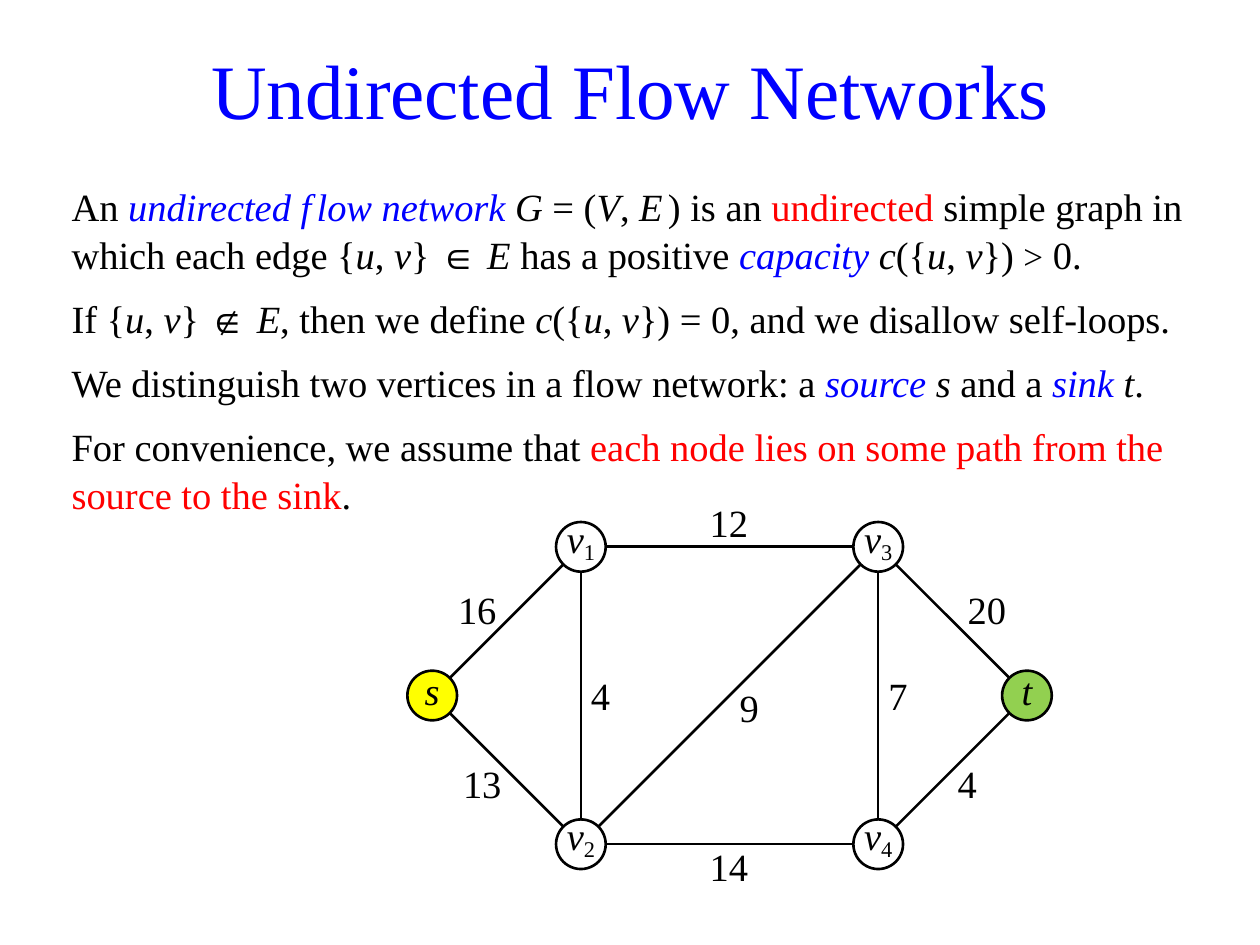
import math
from dataclasses import dataclass, field
from typing import NamedTuple

import lxml.etree
import pptx
import pptx.dml.color
import pptx.enum.shapes
import pptx.enum.text
import pptx.oxml.ns
import pptx.util

Inches = pptx.util.Inches
Pt = pptx.util.Pt
Align = pptx.enum.text.PP_ALIGN
Anchor = pptx.enum.text.MSO_ANCHOR


@dataclass(frozen=True)
class Theme:
    font: str = "Times New Roman"
    title_size: float = 44
    text_size: float = 22
    sign_size: float = 20
    line_width: float = 1.5
    black: str = "000000"
    white: str = "FFFFFF"
    blue: str = "0000FF"
    red: str = "FF0000"
    yellow: str = "FFFF00"
    green: str = "92D050"


THEME = Theme()


class Span(NamedTuple):
    text: str
    color: str = THEME.black
    italic: bool = False
    size: float = THEME.text_size
    extras: dict[str, str] = {}


class Vertex(NamedTuple):
    x: float
    y: float
    name: str
    index: str = ""
    fill: str = THEME.white
    anchor: Anchor = Anchor.BOTTOM
    bottom_inset: float = 0


@dataclass(frozen=True)
class Capacity:
    value: str
    left: float
    top: float
    size: float
    align: Align = Align.LEFT
    insets: dict[str, float] = field(default_factory=dict)


def math_span(text: str, **extras: str) -> Span:
    return Span(text, italic=True, extras=extras)


def term(text: str, **extras: str) -> Span:
    return Span(text, THEME.blue, True, extras=extras)


def rgb(color: str) -> pptx.dml.color.RGBColor:
    return pptx.dml.color.RGBColor.from_string(color)


def write_spans(paragraph, spans: list[Span]) -> None:
    for span in spans:
        run = paragraph.add_run()
        run.text = span.text
        looks = {"name": THEME.font, "size": Pt(span.size), "italic": span.italic}
        for attribute, value in looks.items():
            setattr(run.font, attribute, value)
        run.font.color.rgb = rgb(span.color)
        for attribute, value in span.extras.items():
            run.font._element.set(attribute, value)


def format_frame(frame, anchor: Anchor, wrap: bool, insets: dict[str, float]) -> None:
    formats = {"word_wrap": wrap, "vertical_anchor": anchor}
    for side in ("left", "top", "right", "bottom"):
        formats[f"margin_{side}"] = Inches(insets.get(side, 0))
    for attribute, value in formats.items():
        setattr(frame, attribute, value)


def add_title(slide, text: str) -> None:
    frame = slide.shapes.add_textbox(
        Inches(0.28), Inches(0.21), Inches(9.45), Inches(0.98)).text_frame
    format_frame(frame, Anchor.MIDDLE, True, {})
    frame.paragraphs[0].alignment = Align.CENTER
    write_spans(frame.paragraphs[0], [Span(text, THEME.blue, size=THEME.title_size)])


def add_definitions(slide, definitions: list[list[Span]]) -> None:
    frame = slide.shapes.add_textbox(
        Inches(0.47), Inches(1.39), Inches(9.06), Inches(2.76)).text_frame
    format_frame(frame, Anchor.TOP, True,
                 {"left": 0.1, "top": 0.05, "right": 0.1, "bottom": 0.05})
    for number, spans in enumerate(definitions):
        paragraph = frame.add_paragraph() if number else frame.paragraphs[0]
        paragraph.line_spacing = 1.04
        paragraph.space_before = Pt(9 if number else 0)
        write_spans(paragraph, spans)


def add_capacity(slide, capacity: Capacity) -> None:
    frame = slide.shapes.add_textbox(
        Inches(capacity.left), Inches(capacity.top),
        Inches(capacity.size), Inches(capacity.size)).text_frame
    format_frame(frame, Anchor.MIDDLE, False, capacity.insets)
    frame.paragraphs[0].alignment = capacity.align
    write_spans(frame.paragraphs[0], [Span(capacity.value)])


def add_vertex(slide, vertex: Vertex) -> None:
    circle = slide.shapes.add_shape(
        pptx.enum.shapes.MSO_SHAPE.OVAL,
        Inches(vertex.x - RADIUS), Inches(vertex.y - RADIUS),
        Inches(2 * RADIUS), Inches(2 * RADIUS))
    circle.shadow.inherit = False
    circle.fill.solid()
    circle.fill.fore_color.rgb = rgb(vertex.fill)
    circle.line.color.rgb = rgb(THEME.black)
    circle.line.width = Pt(THEME.line_width)
    format_frame(circle.text_frame, vertex.anchor, True, {"bottom": vertex.bottom_inset})
    paragraph = circle.text_frame.paragraphs[0]
    paragraph.alignment = Align.CENTER
    spans = [math_span(vertex.name)]
    if vertex.index:
        spans.append(Span(vertex.index, extras={"baseline": "-18000"}))
    write_spans(paragraph, spans)


def add_edge(slide, start: Vertex, end: Vertex) -> None:
    angle = math.atan2(end.y - start.y, end.x - start.x)
    dx, dy = RADIUS * math.cos(angle), RADIUS * math.sin(angle)
    edge = slide.shapes.add_connector(
        pptx.enum.shapes.MSO_CONNECTOR.STRAIGHT,
        Inches(start.x + dx), Inches(start.y + dy),
        Inches(end.x - dx), Inches(end.y - dy))
    edge.line.color.rgb = rgb(THEME.black)
    edge.line.width = Pt(THEME.line_width)
    lxml.etree.SubElement(edge._element.spPr, pptx.oxml.ns.qn("a:effectLst"))


RADIUS = 0.197
STEP = 1.18
COLUMNS = [3.43 + STEP * k for k in (0, 1, 3, 4)]
ROWS = [4.34 + STEP * k for k in range(3)]

VERTICES = {
    "v1": Vertex(COLUMNS[1], ROWS[0], "v", "1"),
    "v2": Vertex(COLUMNS[1], ROWS[2], "v", "2"),
    "v3": Vertex(COLUMNS[2], ROWS[0], "v", "3"),
    "v4": Vertex(COLUMNS[2], ROWS[2], "v", "4"),
    "s": Vertex(COLUMNS[0], ROWS[1], "s", fill=THEME.yellow),
    "t": Vertex(COLUMNS[3], ROWS[1], "t", fill=THEME.green,
                anchor=Anchor.MIDDLE, bottom_inset=0.08),
}
EDGES = ["s v1", "v1 v3", "v3 v2", "v2 v4", "v2 v1", "v3 t", "v4 v3", "s v2", "v4 t"]

CAPACITIES = [
    Capacity("16", 3.43, 4.54, 0.59, Align.RIGHT, {"right": 0.08}),
    Capacity("12", 5.59, 3.95, 0.39, Align.CENTER),
    Capacity("13", 3.43, 5.92, 0.59, Align.RIGHT, {"right": 0.04}),
    Capacity("20", 7.56, 4.54, 0.59, insets={"left": 0.12}),
    Capacity("14", 5.59, 6.7, 0.39, Align.CENTER, {"bottom": 0.04}),
    Capacity("4", 7.56, 5.92, 0.59, insets={"left": 0.04}),
    Capacity("9", 5.79, 5.32, 0.59, insets={"left": 0.08}),
    Capacity("4", 4.61, 5.32, 0.39, insets={"left": 0.08}),
    Capacity("7", 6.97, 5.32, 0.39, insets={"left": 0.08}),
]

PAIR = [math_span("u"), Span(", "), math_span("v")]
DEFINITIONS = [
    [Span("An "), term("undirected "), term("f", spc="300"), term("low network "),
     math_span("G "), Span("= ("), math_span("V"), Span(", "),
     math_span("E", spc="300"), Span(") is an "), Span("undirected ", THEME.red),
     Span("simple graph in which each edge {"), *PAIR, Span("} ∈ "), math_span("E"),
     Span(" has a positive "), term("capacity "), math_span("c"), Span("({"), *PAIR,
     Span("}) "), Span(">", size=THEME.sign_size), Span(" 0.")],
    [Span("If {"), *PAIR, Span("} ∉ "), math_span("E"), Span(", then we define "),
     math_span("c"), Span("({"), *PAIR, Span("}) = 0, and we disallow self-loops.")],
    [Span("We distinguish two vertices in a flow network: a "), term("source "),
     math_span("s"), Span(" and a "), term("sink "), math_span("t"), Span(".")],
    [Span("For convenience, we assume that "),
     Span("each node lies on some path from the source to the sink", THEME.red),
     Span(".")],
]


def main() -> None:
    deck = pptx.Presentation()
    deck.slide_width, deck.slide_height = Inches(10), Inches(7.5)
    slide = deck.slides.add_slide(deck.slide_layouts[6])
    add_title(slide, "Undirected Flow Networks")
    add_definitions(slide, DEFINITIONS)
    for capacity in CAPACITIES:
        add_capacity(slide, capacity)
    for vertex in VERTICES.values():
        add_vertex(slide, vertex)
    for edge in EDGES:
        start, end = edge.split()
        add_edge(slide, VERTICES[start], VERTICES[end])
    deck.save("out.pptx")


if __name__ == "__main__":
    main()
